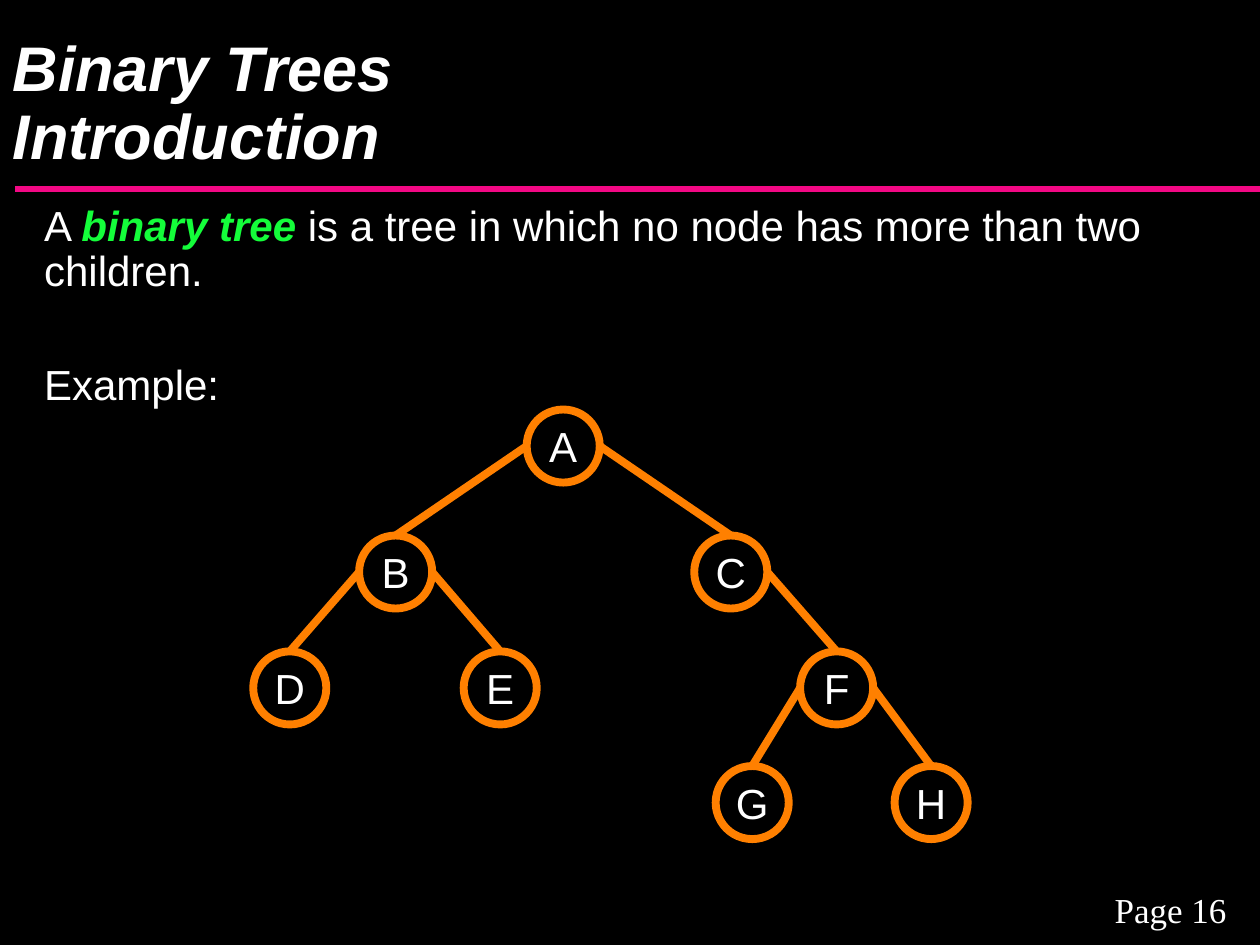
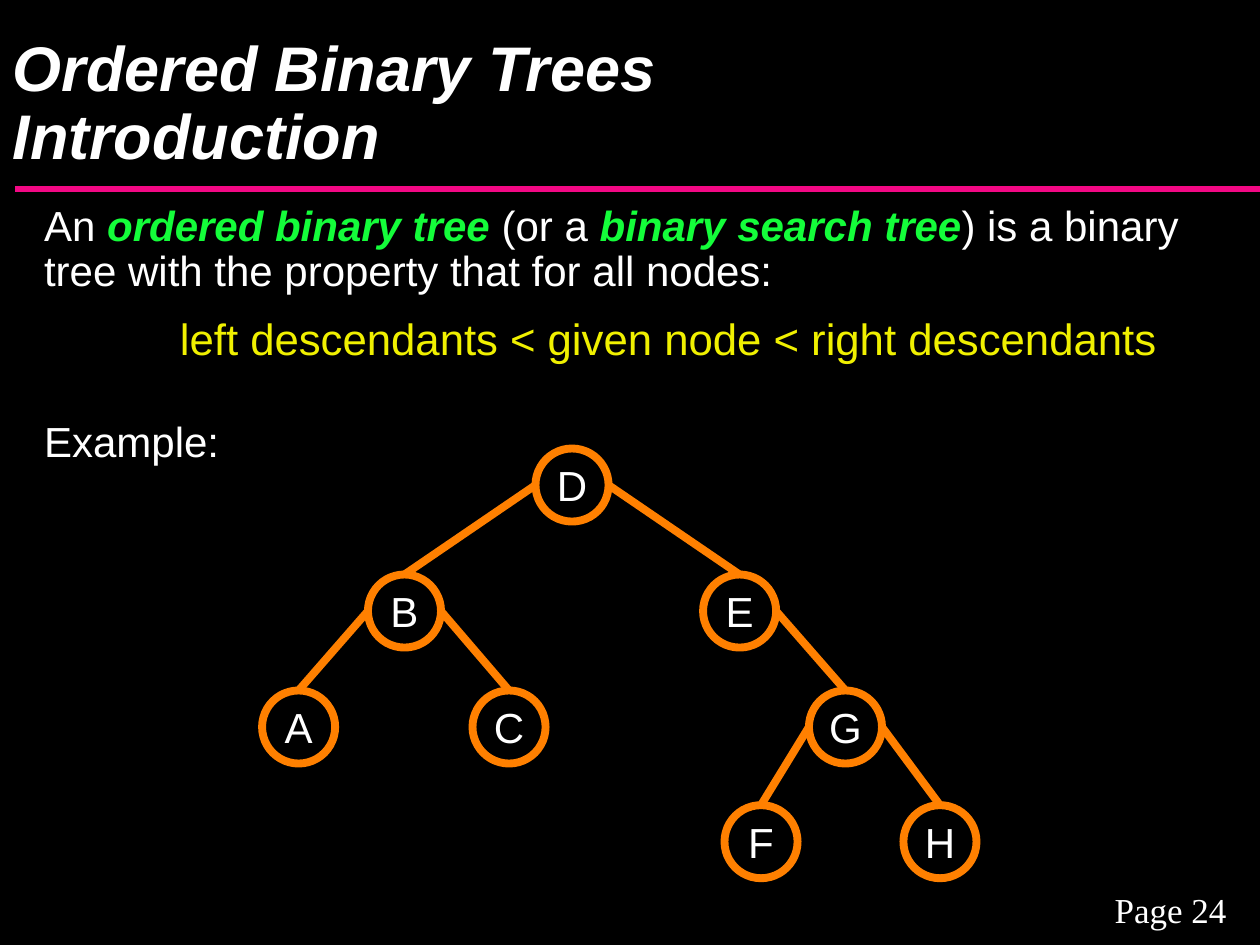
"""Builds two slides that introduce binary trees and ordered binary trees."""
from lxml.etree import SubElement
from pptx import Presentation
from pptx.dml.color import RGBColor
from pptx.enum.shapes import MSO_CONNECTOR as Connector, MSO_SHAPE as Shape
from pptx.enum.text import MSO_ANCHOR as Anchor, MSO_AUTO_SIZE as AutoSize, PP_ALIGN as Align
from pptx.oxml.ns import qn
from pptx.util import Inches, Pt

BLACK, WHITE, PINK = "000000", "FFFFFF", "F20884"
GREEN, YELLOW, ORANGE = "14FD3A", "F0F000", "FF8000"
NODE_SIZE = 0.58
RADIUS = NODE_SIZE / 2
LINE_SPACING = 0.89

NODE_OFFSETS = [(0, 0), (-1.33, 1), (1.33, 1), (-2.17, 1.92), (-0.5, 1.92),
                (2.17, 1.92), (1.5, 2.83), (2.92, 2.83)]
EDGES = [(0, 1), (0, 2), (1, 3), (1, 4), (2, 5), (5, 6), (5, 7)]

TOPICS = [
    dict(heading=["Binary Trees", "Introduction"], page="Page 16",
         definition=["A ", "binary tree",
                     " is a tree in which no node has more than two children."],
         ordering=None, example_gap=40, root=(4.47, 3.54), letters="ABCDEFGH"),
    dict(heading=["Ordered Binary Trees", "Introduction"], page="Page 24",
         definition=["An ", "ordered binary tree", " (or a ", "binary search tree",
                     ") is a binary tree with the property that for all nodes:"],
         ordering="left descendants < given node < right descendants",
         example_gap=72.5, root=(4.54, 3.85), letters="DBEACGFH"),
]


def write(paragraph, text, size=24, color=WHITE, font="Arial", emphasis=False, align=Align.LEFT):
    paragraph.alignment = align
    run = paragraph.add_run()
    run.text = text
    run.font.size = Pt(size)
    run.font.name = font
    run.font.bold = run.font.italic = emphasis
    run.font.color.rgb = RGBColor.from_string(color)


def draw_line(slide, start, end, color, width):
    line = slide.shapes.add_connector(Connector.STRAIGHT, *map(Inches, start + end))
    line.line.color.rgb = RGBColor.from_string(color)
    line.line.width = Pt(width)
    SubElement(line._element.spPr, qn("a:effectLst"))


prs = Presentation()
prs.slide_width, prs.slide_height = Inches(10), Inches(7.5)
backdrop = prs.slide_master.background.fill
backdrop.solid()
backdrop.fore_color.rgb = RGBColor.from_string(BLACK)

for topic in TOPICS:
    slide = prs.slides.add_slide(prs.slide_layouts[1])
    heading, body = slide.placeholders
    draw_line(slide, (0.12, 1.5), (10, 1.5), PINK, 3.75)

    page = slide.shapes.add_textbox(Inches(8.58), Inches(7), Inches(1.42), Inches(0.43))
    page.text_frame.word_wrap = True
    write(page.text_frame.paragraphs[0], topic["page"], size=20,
          font="Times New Roman", align=Align.CENTER)

    heading.left, heading.top, heading.width, heading.height = map(Inches, (0, 0, 10, 1.42))
    heading.text_frame.auto_size = AutoSize.NONE
    heading.text_frame.vertical_anchor = Anchor.BOTTOM
    heading.text_frame.add_paragraph()
    for paragraph, words in zip(heading.text_frame.paragraphs, topic["heading"]):
        paragraph.line_spacing = LINE_SPACING
        write(paragraph, words, size=36, emphasis=True)

    body.left, body.top, body.width, body.height = map(Inches, (0, 1.58, 9.83, 5.42))
    body.text_frame.auto_size = AutoSize.NONE
    definition, example = body.text_frame.paragraphs[0], body.text_frame.add_paragraph()
    for paragraph, gap in ((definition, 0), (example, topic["example_gap"])):
        properties = paragraph._p.get_or_add_pPr()
        properties.set("marL", str(Inches(0.25)))
        properties.set("indent", "0")
        SubElement(properties, qn("a:buNone"))
        paragraph.line_spacing = LINE_SPACING
        paragraph.space_before = Pt(gap)
    for index, words in enumerate(topic["definition"]):
        is_term = index % 2 == 1
        write(definition, words, color=GREEN if is_term else WHITE, emphasis=is_term)
    write(example, "Example:")

    if topic["ordering"]:
        ordering = slide.shapes.add_textbox(Inches(1.33), Inches(2.42), Inches(7.96), Inches(0.52))
        ordering.text_frame.word_wrap = False
        ordering.text_frame.vertical_anchor = Anchor.MIDDLE
        write(ordering.text_frame.paragraphs[0], topic["ordering"], size=25, color=YELLOW)

    root_x, root_y = topic["root"]
    centers = [(root_x + dx, root_y + dy) for dx, dy in NODE_OFFSETS]
    for (x, y), letter in zip(centers, topic["letters"]):
        node = slide.shapes.add_shape(Shape.OVAL, Inches(x - RADIUS), Inches(y - RADIUS),
                                      Inches(NODE_SIZE), Inches(NODE_SIZE))
        node.shadow.inherit = False
        node.fill.background()
        node.line.color.rgb = RGBColor.from_string(ORANGE)
        node.line.width = Pt(4.5)
        label = node.text_frame
        label.margin_left = label.margin_right = label.margin_top = label.margin_bottom = 0
        label.word_wrap = False
        label.vertical_anchor = Anchor.MIDDLE
        write(label.paragraphs[0], letter, align=Align.CENTER)

    for parent, child in EDGES:
        (parent_x, parent_y), (child_x, child_y) = centers[parent], centers[child]
        side = RADIUS if child_x > parent_x else -RADIUS
        draw_line(slide, (parent_x + side, parent_y), (child_x, child_y - RADIUS), ORANGE, 4.5)

prs.save("out.pptx")
